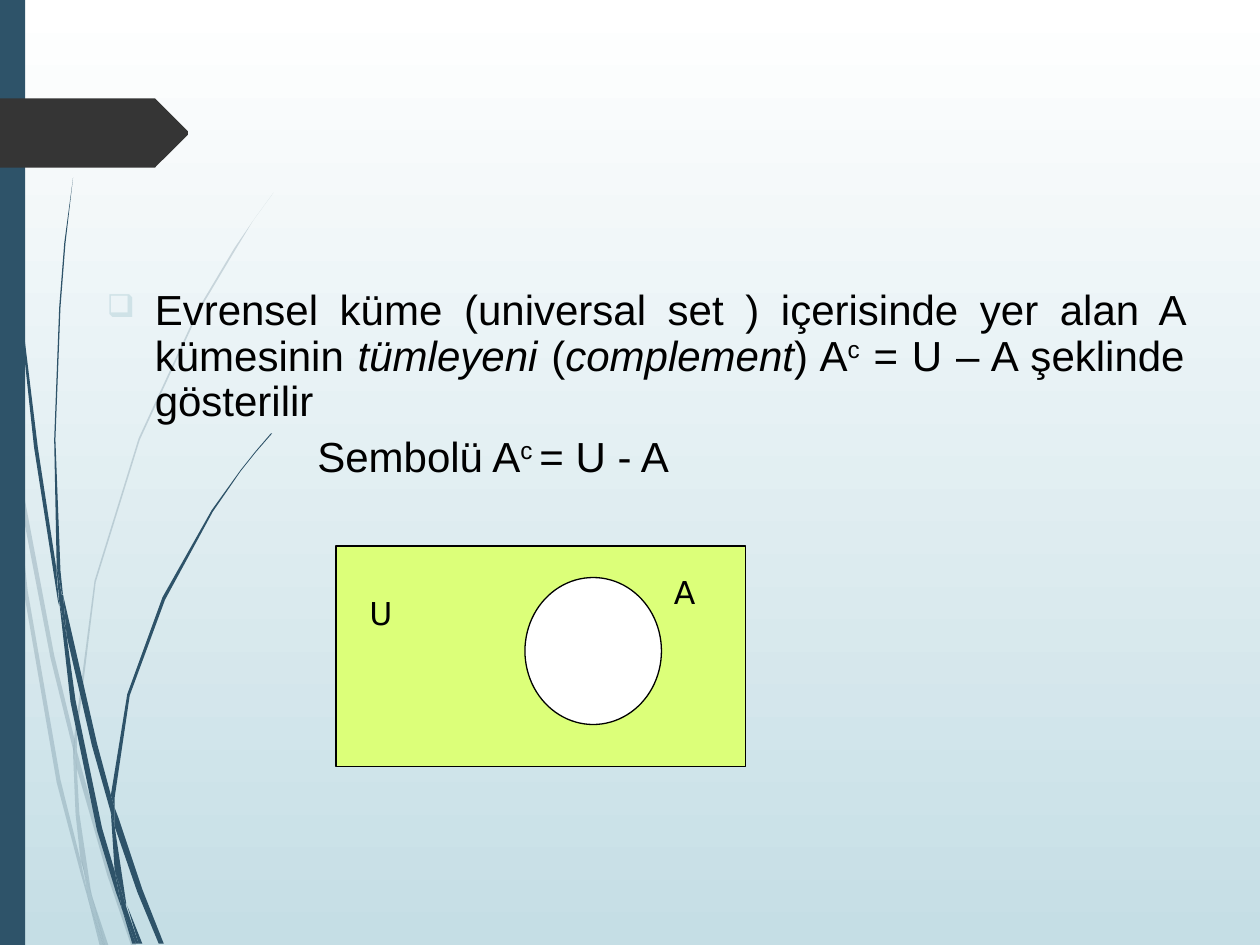
from lxml.etree import SubElement
from pptx import Presentation
from pptx.dml.color import RGBColor
from pptx.enum.shapes import MSO_SHAPE
from pptx.enum.text import MSO_AUTO_SIZE, PP_ALIGN
from pptx.oxml.ns import qn
from pptx.util import Emu, Inches, Pt

COLORS = {
    "black": "000000", "white": "FFFFFF", "mist": "C5DEE5", "bullet": "CFE2E7",
    "navy": "2E5369", "tag": "353535", "lime": "DCFF79",
}
COLUMNS, ROWS = 120, 90
POINT_SCALE = 9144  # outlines are given in hundredths of an inch

PALE_WISPS = [
    "8,350 6,322 0,282 0,299 7,344",
    "40,522 59,599 59,586 43,520 10,345 12,376",
    "64,607 61,596 61,610 85,694 104,750 108,750 88,692",
    "83,750 86,750 73,711",
    "64,683 48,619 22,469 12,376 8,350 19,470 45,621 64,693 70,714 69,707",
    "58,599 60,646 64,683 67,692 73,711 72,706 63,646 61,610 61,608",
    "61,584 76,462 111,349 159,245 187,198 201,175 217,153 201,175 186,197 "
    "158,244 110,348 75,461 59,584 59,586 61,596",
    "70,714 79,750 82,750",
    "61,608 61,610 61,596 59,586 58,599",
    "67,692 65,683 69,707 70,714 82,750 83,750 73,711",
]
DARK_WISPS = [
    "5,110 14,233 27,355 46,477 47,481 45,457 45,453 30,355 15,232 6,109 "
    "4,48 3,0 2,0 3,48",
    "73,592 88,645 88,633 88,631 77,590 50,472 53,505",
    "94,649 91,641 91,656 109,708 126,749 130,749 113,706",
    "91,691 81,657 60,556 53,505 47,477 56,557 77,659 92,708 97,722 96,717",
    "50,472 48,453 44,349 48,244 52,193 58,141 51,193 47,244 43,349 45,449 49,471",
    "110,749 113,749 101,719",
    "47,477 53,505 50,472 49,472 45,449 45,453",
    "91,633 103,552 131,476 169,406 191,374 203,359 216,344 215,344 203,358 "
    "191,373 168,405 129,474 101,551 88,631 91,641",
    "97,722 105,749 108,749",
    "88,645 91,691 96,706 100,719 100,716 91,656 90,651",
    "88,645 90,651 91,656 91,641 88,631 88,633",
    "96,706 91,691 96,717 97,722 108,749 110,749 100,719",
]
TITLE_TAG = ("149,107 124,132 123,133 121,133 0,133 0,78 121,78 123,78 "
             "124,79 149,104")


def rgb(name):
    return RGBColor.from_string(COLORS[name])


def write(para, text, size=24, font="Arial", italic=False, raised=False):
    span = para.add_run()
    span.text = text
    span.font.size, span.font.name = Pt(size), font
    span.font.italic = italic
    span.font.color.rgb = rgb("black")
    if raised:
        span.font._element.set("baseline", "30000")


class SlideBuilder:
    def __init__(self, deck):
        self.page = deck.slides.add_slide(deck.slide_layouts[6])
        self.column = deck.slide_width / COLUMNS
        self.row = deck.slide_height / ROWS

    def place(self, left, top, width, height):
        """Turn grid columns and rows into slide lengths."""
        return [Emu(round(left * self.column)), Emu(round(top * self.row)),
                Emu(round(width * self.column)), Emu(round(height * self.row))]

    def background(self, top, bottom):
        fill = self.page.background.fill
        fill.gradient()
        fill.gradient_angle = 270
        for stop, name in zip(fill.gradient_stops, (top, bottom)):
            stop.color.rgb = rgb(name)

    def paint(self, shape, fill, line=None, opacity=None):
        shape.shadow.inherit = False
        shape.fill.solid()
        shape.fill.fore_color.rgb = rgb(fill)
        if opacity:
            color = shape._element.spPr.find(".//" + qn("a:srgbClr"))
            SubElement(color, qn("a:alpha"), val=str(opacity * 1000))
        if line:
            shape.line.color.rgb = rgb(line)
            shape.line.width = Pt(0.75)
        else:
            shape.line.fill.background()

    def shape(self, kind, *grid, **style):
        self.paint(self.page.shapes.add_shape(kind, *self.place(*grid)), **style)

    def outline(self, points, **style):
        start, *rest = [tuple(map(int, pair.split(","))) for pair in points.split()]
        builder = self.page.shapes.build_freeform(*start, scale=POINT_SCALE)
        builder.add_line_segments(rest, close=True)
        self.paint(builder.convert_to_shape(), **style)

    def text_frame(self, *grid):
        frame = self.page.shapes.add_textbox(*self.place(*grid)).text_frame
        frame.word_wrap = True
        return frame

    def label(self, text, *grid):
        frame = self.text_frame(*grid)
        frame.auto_size = MSO_AUTO_SIZE.SHAPE_TO_FIT_TEXT
        para = frame.paragraphs[0]
        para.space_before = Pt(11.2)
        write(para, text, size=18, font="DejaVu Sans")

    def body_paragraph(self, para, margin, hanging=0, bullet=None):
        para.line_spacing, para.space_before = 0.9, Pt(6)
        props = para._p.get_or_add_pPr()
        props.set("marL", str(Inches(margin)))
        props.set("indent", str(-Inches(hanging)))
        if bullet:
            color = SubElement(props, qn("a:buClr"))
            SubElement(color, qn("a:srgbClr"), val=COLORS["bullet"])
            SubElement(props, qn("a:buSzPct"), val="75000")
            SubElement(props, qn("a:buChar"), char=bullet)


def main():
    deck = Presentation()
    deck.slide_width, deck.slide_height = Inches(10), Inches(7.5)
    slide = SlideBuilder(deck)
    slide.background("white", "mist")

    for wisp in PALE_WISPS:
        slide.outline(wisp, fill="navy", opacity=20)
    for wisp in DARK_WISPS:
        slide.outline(wisp, fill="navy")
    slide.shape(MSO_SHAPE.RECTANGLE, 0, 0, 2.4, ROWS, fill="navy")
    slide.outline(TITLE_TAG, fill="tag")

    body = slide.text_frame(9, 27, 105, 23)
    definition = body.paragraphs[0]
    definition.alignment = PP_ALIGN.JUSTIFY
    slide.body_paragraph(definition, 0.38, hanging=0.38, bullet="❑")
    write(definition, "Evrensel küme (universal set ) içerisinde yer alan A kümesinin ")
    write(definition, "tümleyeni ", italic=True)
    write(definition, "(")
    write(definition, "complement", italic=True)
    write(definition, ") A")
    write(definition, "c", raised=True)
    write(definition, " = U – A şeklinde gösterilir")

    symbol = body.add_paragraph()
    slide.body_paragraph(symbol, 1.67)
    write(symbol, "Sembolü A")
    write(symbol, "c ", raised=True)
    write(symbol, "= U - A")

    slide.shape(MSO_SHAPE.RECTANGLE, 32, 52, 39, 21, fill="lime", line="black")
    slide.shape(MSO_SHAPE.OVAL, 50, 55, 13, 14, fill="white", line="black")
    slide.label("U", 34, 56, 5, 4.8)
    slide.label("A", 63, 54, 4, 4.8)

    deck.save("out.pptx")


if __name__ == "__main__":
    main()
